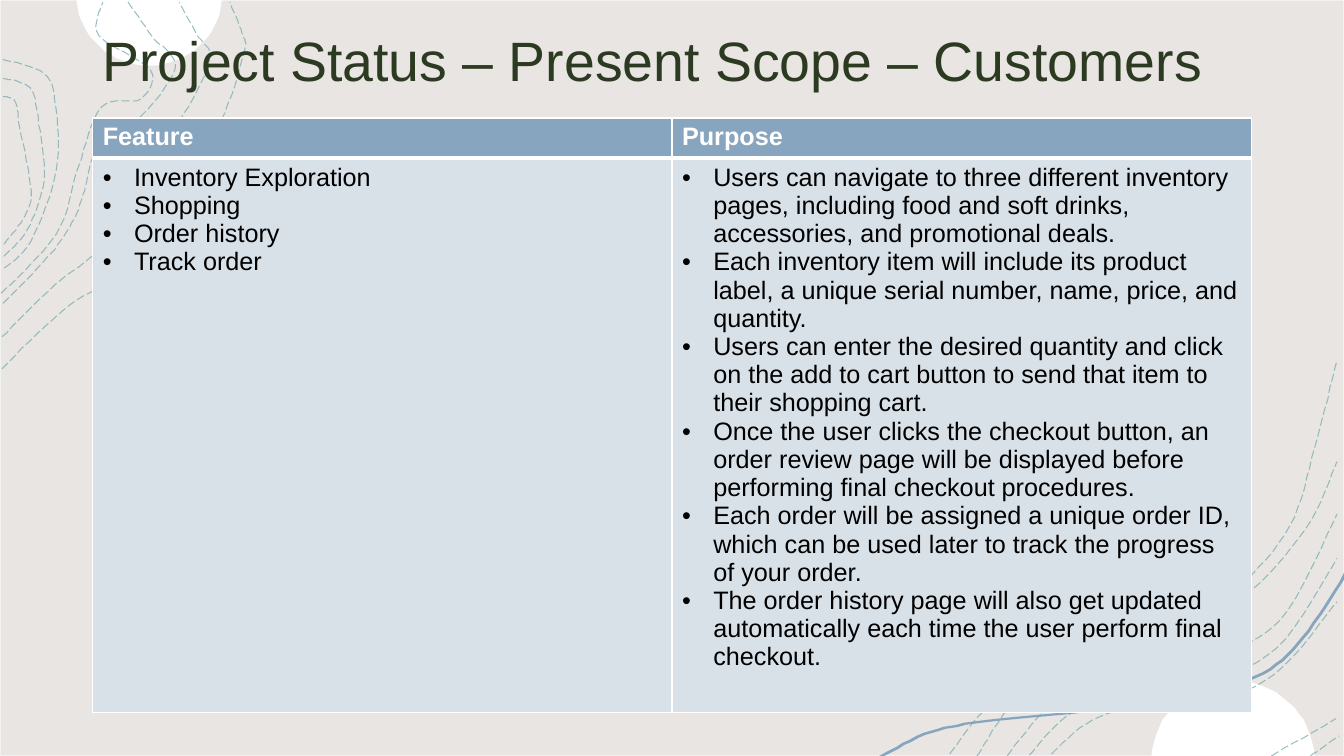
from math import asin, cos, sin
from lxml.etree import SubElement as Sub, Element
from pptx import Presentation
from pptx.dml.color import RGBColor as Rgb
from pptx.enum.dml import MSO_LINE_DASH_STYLE as Dash
from pptx.enum.shapes import MSO_SHAPE as Preset
from pptx.enum.text import MSO_ANCHOR as Anchor
from pptx.oxml.ns import qn
from pptx.util import Inches, Pt

COLORS = {"sand": "E8E5E2", "edge": "F2F2F2", "white": "FFFFFF", "blue": "87A5BE",
          "mist": "D9E1E8", "teal": "77ABAE", "green": "2C3A21", "black": "000000"}
COLORS = {name: Rgb.from_string(code) for name, code in COLORS.items()}

deck = Presentation()
deck.slide_width, deck.slide_height = Inches(13.33), Inches(7.5)
WIDE, TALL = deck.slide_width, deck.slide_height
COLUMN = WIDE / 29
HUNDREDTH = Inches(0.01)
page = deck.slides.add_slide(deck.slide_layouts[6])


def smooth(points, steps=8):
    ends = [points[0], *points, points[-1]]
    curve = [points[0]]
    for before, start, end, after in zip(ends, ends[1:], ends[2:], ends[3:]):
        for step in range(1, steps + 1):
            t = step / steps
            curve.append(tuple(
                0.5 * (2 * b + (c - a) * t + (2 * a - 5 * b + 4 * c - d) * t ** 2
                       + (3 * b - a - 3 * c + d) * t ** 3)
                for a, b, c, d in zip(before, start, end, after)))
    return curve


def outline(points, fill=None):
    builder = page.shapes.build_freeform(*points[0], scale=HUNDREDTH)
    builder.add_line_segments(points[1:], close=fill is not None)
    shape = builder.convert_to_shape()
    shape.shadow.inherit = False
    if fill:
        shape.fill.solid()
        shape.fill.fore_color.rgb = COLORS[fill]
        shape.line.fill.background()
    else:
        shape.fill.background()
    return shape


backdrop = page.shapes.add_shape(Preset.RECTANGLE, 0, 0, WIDE, TALL)
backdrop.shadow.inherit = False
backdrop.fill.solid()
backdrop.fill.fore_color.rgb = COLORS["sand"]
backdrop.line.color.rgb = COLORS["edge"]
backdrop.line.width = Pt(1)

for center, base, half, rise, side in [(148, 0, 72.5, 65, 1), (1223, 750, 81, 75, -1)]:
    radius = (half ** 2 + rise ** 2) / (2 * rise)
    sweep = asin(half / radius)
    angles = [sweep * (step / 16 - 1) for step in range(33)]
    outline([(center + radius * sin(angle),
              base + side * (rise - radius + radius * cos(angle))) for angle in angles], "white")

ribbon = smooth([(877, 750), (925, 727), (982, 716), (1065, 708), (1144, 695),
                 (1245, 673), (1293, 634), (1333, 575)])
outline(ribbon + [(1333, 568)] + [(x - 2, y - 2) for x, y in ribbon[-2:0:-1]] + [(872, 750)], "blue")

FAMILIES = [
    ([(2, 366), (66, 305), (127, 269), (160, 223), (181, 171), (219, 120), (242, 53),
      (240, 33), (228, 2)],
     [(3, 301), (42, 261), (69, 226), (84, 189), (95, 152), (136, 120), (174, 67),
      (150, 35), (127, 2)]),
    ([(3, 59), (44, 73), (55, 104), (56, 168), (31, 239), (2, 268)],
     [(3, 96), (15, 101), (20, 129), (31, 189), (23, 217), (3, 243)]),
    ([(999, 750), (1042, 700), (1100, 675), (1184, 658), (1268, 617), (1326, 510)],
     [(1043, 748), (1084, 714), (1145, 699), (1188, 703), (1264, 669), (1326, 597)]),
]
contours = [
    [(1, 291), (56, 232), (78, 165), (101, 106), (140, 98), (149, 69), (98, 35), (102, 2)],
    [(942, 748), (986, 695), (1078, 630), (1137, 629), (1224, 585), (1279, 522), (1304, 444),
     (1326, 358)],
    [(969, 750), (1008, 694), (1075, 645), (1145, 641), (1233, 592), (1294, 526), (1326, 458)],
    [(1300, 750), (1328, 730)],
    [(1261, 750), (1325, 713)],
]
for outer, inner in FAMILIES:
    for blend in (0, 0.5, 1):
        contours.append([(a + (c - a) * blend, b + (d - b) * blend)
                         for (a, b), (c, d) in zip(outer, inner)])
for contour in contours:
    line = outline(smooth(contour)).line
    line.color.rgb = COLORS["teal"]
    line.width = Pt(0.75)
    line.dash_style = Dash.LONG_DASH
    tint = next(line.fill._xPr.iter(qn("a:srgbClr")))
    Sub(tint, qn("a:alpha"), val="75000")

title = page.shapes.add_textbox(int(2 * COLUMN), int(TALL * 0.027), int(25 * COLUMN), int(TALL * 0.104))
title.text_frame.word_wrap = True
title.text_frame.vertical_anchor = Anchor.MIDDLE
title.text_frame.text = "Project Status – Present Scope – Customers"
font = title.text_frame.paragraphs[0].runs[0].font
font.name, font.size, font.color.rgb = "Arial", Pt(39.6), COLORS["green"]

ROWS = [
    (["Feature"], ["Purpose"]),
    (["Inventory Exploration", "Shopping", "Order history", "Track order"],
     ["Users can navigate to three different inventory pages, including food and soft drinks, "
      "accessories, and promotional deals.",
      "Each inventory item will include its product label, a unique serial number, name, price, "
      "and quantity.",
      "Users can enter the desired quantity and click on the add to cart button to send that item "
      "to their shopping cart.",
      "Once the user clicks the checkout button, an order review page will be displayed before "
      "performing final checkout procedures.",
      "Each order will be assigned a unique order ID, which can be used later to track the progress "
      "of your order.",
      "The order history page will also get updated automatically each time the user perform final "
      "checkout."]),
]
table = page.shapes.add_table(2, 2, int(2 * COLUMN), int(TALL * 0.156),
                              int(25 * COLUMN), int(TALL * 0.7)).table
table.horz_banding = False
for row, share in zip(table.rows, (0.048, 0.653)):
    row.height = int(TALL * share)
for r, texts in enumerate(ROWS):
    header = r == 0
    for c, lines in enumerate(texts):
        cell = table.cell(r, c)
        cell.fill.solid()
        cell.fill.fore_color.rgb = COLORS["blue" if header else "mist"]
        cell.text_frame.text = "\n".join(lines)
        for para in cell.text_frame.paragraphs:
            font = para.runs[0].font
            font.name, font.size, font.bold = "Arial", Pt(18), header
            font.color.rgb = COLORS["white" if header else "black"]
            if not header:
                props = para._p.get_or_add_pPr()
                props.set("marL", str(Inches(0.31)))
                props.set("indent", str(-Inches(0.31)))
                Sub(props, qn("a:buFont"), typeface="Arial")
                Sub(props, qn("a:buChar"), char="•")
        divider = "lnB" if header else "lnT"
        for place, side in enumerate(("lnL", "lnR", "lnT", "lnB")):
            border = Element(qn("a:" + side), w=str(Pt(3 if side == divider else 1)))
            paint = Sub(border, qn("a:solidFill"))
            Sub(paint, qn("a:srgbClr"), val=str(COLORS["white"]))
            cell._tc.get_or_add_tcPr().insert(place, border)

deck.save("out.pptx")
